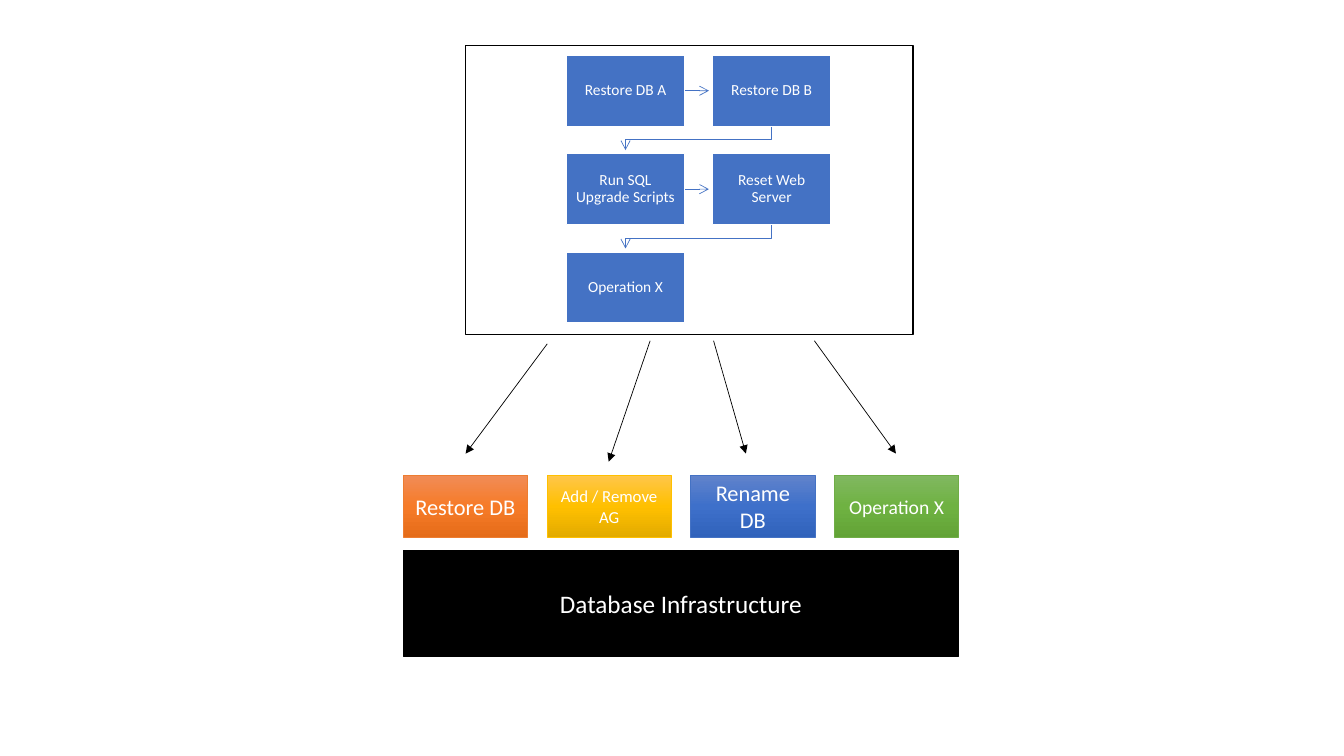
import copy

import pptx
import pptx.dml.color
import pptx.enum.shapes
import pptx.enum.text
import pptx.oxml
import pptx.oxml.ns
import pptx.util

Pt = pptx.util.Pt
RGBColor = pptx.dml.color.RGBColor
ALIGN = pptx.enum.text.PP_ALIGN
ANCHOR = pptx.enum.text.MSO_ANCHOR
RECTANGLE = pptx.enum.shapes.MSO_SHAPE.RECTANGLE
STRAIGHT = pptx.enum.shapes.MSO_CONNECTOR.STRAIGHT
A_NS = pptx.oxml.ns.nsdecls("a")

BLACK = RGBColor(0x00, 0x00, 0x00)
WHITE = RGBColor(0xFF, 0xFF, 0xFF)
BLUE = RGBColor(0x44, 0x72, 0xC4)
ORANGE = RGBColor(0xED, 0x7D, 0x31)
GOLD = RGBColor(0xFF, 0xC0, 0x00)
GREEN = RGBColor(0x70, 0xAD, 0x47)
ORANGE_SHADES = RGBColor(0xF1, 0x8C, 0x57), RGBColor(0xF6, 0x7B, 0x28), RGBColor(0xE5, 0x6C, 0x19)
GOLD_SHADES = RGBColor(0xFF, 0xC6, 0x4B), RGBColor(0xFF, 0xC0, 0x00), RGBColor(0xE3, 0xAB, 0x00)
BLUE_SHADES = RGBColor(0x61, 0x83, 0xCB), RGBColor(0x3E, 0x70, 0xCA), RGBColor(0x30, 0x62, 0xBB)
GREEN_SHADES = RGBColor(0x81, 0xB8, 0x61), RGBColor(0x6F, 0xB2, 0x42), RGBColor(0x62, 0xA3, 0x36)

FRAME_FORMAT = {"vertical_anchor": ANCHOR.MIDDLE, "word_wrap": True}
STEP_INSETS = {f"margin_{side}": Pt(6.5) for side in ("left", "right", "top", "bottom")}
STEPS = ["Restore DB A", "Restore DB B", "Run SQL Upgrade Scripts",
         "Reset Web Server", "Operation X"]
OPERATIONS = [
    ("Restore DB", 16, ORANGE, ORANGE_SHADES),
    ("Add / Remove AG", 12, GOLD, GOLD_SHADES),
    ("Rename DB", 16, BLUE, BLUE_SHADES),
    ("Operation X", 14, GREEN, GREEN_SHADES),
]
# Start and end of each arrow, relative to the fan's box
FAN = [((58.3, 2.2), (0, 80.6)), ((131.8, 0), (102.2, 86.4)),
       ((177.1, 0), (200.2, 80.6)), ((249.1, 0), (307.4, 80.6))]


def apply(target, values):
    """Set every attribute in values on target."""
    for attribute, value in values.items():
        setattr(target, attribute, value)


def fill_gradient(shape, shades):
    """Fill a shape with shades running evenly from top to bottom."""
    shape.fill.gradient()
    shape.fill.gradient_angle = 270
    stops = shape.fill._fill._gradFill.gsLst
    stops.insert(1, copy.deepcopy(stops[0]))
    for index, (stop, shade) in enumerate(zip(shape.fill.gradient_stops, shades)):
        stop.position = index / (len(shades) - 1)
        stop.color.rgb = shade


def draw_box(slide, box, line, weight, fill=None, text="", size=11, frame_format=None):
    """Draw a rectangle with centred white text; fill is a colour, shades or None."""
    shape = slide.shapes.add_shape(RECTANGLE, *map(Pt, box))
    shape.shadow.inherit = False
    shape.line.color.rgb = line
    shape.line.width = Pt(weight)
    if fill is None:
        shape.fill.background()
    elif isinstance(fill, RGBColor):
        shape.fill.solid()
        shape.fill.fore_color.rgb = fill
    else:
        fill_gradient(shape, fill)
    if text:
        apply(shape.text_frame, FRAME_FORMAT | (frame_format or {}))
        paragraph = shape.text_frame.paragraphs[0]
        paragraph.alignment = ALIGN.CENTER
        run = paragraph.add_run()
        run.text = text
        apply(run.font, {"name": "Calibri", "size": Pt(size)})
        run.font.color.rgb = WHITE
    return shape


def finish_arrow(arrow, colour, head):
    """Give a line its colour, weight and arrowhead."""
    arrow.line.color.rgb = colour
    arrow.line.width = Pt(0.5)
    arrow.line._ln.append(pptx.oxml.parse_xml(f'<a:tailEnd {A_NS} type="{head}"/>'))


def draw_arrow(slide, start, end, colour, head):
    """Draw a straight arrow."""
    arrow = slide.shapes.add_connector(STRAIGHT, *map(Pt, (*start, *end)))
    finish_arrow(arrow, colour, head)
    arrow._element.spPr.append(pptx.oxml.parse_xml(f"<a:effectLst {A_NS}/>"))


def draw_elbow(slide, start, end):
    """Draw an arrow going down, across and down again."""
    (x1, y1), (x2, y2) = start, end
    turn = y1 + 9.7
    builder = slide.shapes.build_freeform(Pt(x1), Pt(y1))
    builder.add_line_segments([(Pt(x), Pt(y)) for x, y in [(x1, turn), (x2, turn), (x2, y2)]],
                              close=False)
    elbow = builder.convert_to_shape()
    elbow.fill.background()
    elbow.shadow.inherit = False
    finish_arrow(elbow, BLUE, "arrow")


def draw_workflow(slide, box):
    """Frame the steps, laid out in two columns and joined in reading order."""
    left, top, _, _ = box
    draw_box(slide, box, BLACK, 0.75)
    width, height, columns = 84.6, 50.8, 2
    for index, step in enumerate(STEPS):
        row, column = divmod(index, columns)
        x, y = left + 72 + column * 104.4, top + 7 + row * 70.3
        if index < len(STEPS) - 1:
            if column == 0:
                middle = y + height / 2
                draw_arrow(slide, (x + width, middle), (x + width + 17.3, middle), BLUE, "arrow")
            else:
                centre, bottom = x + width / 2, y + height
                draw_elbow(slide, (centre, bottom), (centre - 104.4, bottom + 17))
        shape = draw_box(slide, (x, y, width, height), WHITE, 1, BLUE, step,
                         frame_format=STEP_INSETS)
        shape.text_frame.paragraphs[0].line_spacing = 0.9


def draw_operations(slide, box):
    """Spread the operation tiles evenly over the box."""
    left, top, width, height = box
    tile_width = 88.9
    pitch = (width - tile_width) / (len(OPERATIONS) - 1)
    for index, (name, size, outline, shades) in enumerate(OPERATIONS):
        draw_box(slide, (left + index * pitch, top, tile_width, height),
                 outline, 0.5, shades, name, size)


def draw_fan(slide, box):
    """Draw the arrows from the workflow down to the operations."""
    left, top = box[:2]
    for (x1, y1), (x2, y2) in FAN:
        draw_arrow(slide, (left + x1, top + y1), (left + x2, top + y2), BLACK, "triangle")


def draw_infrastructure(slide, box):
    """Draw the base block."""
    draw_box(slide, box, BLACK, 1, BLACK, "Database Infrastructure", 18)


def main():
    """Build and save the slide."""
    deck = pptx.Presentation()
    apply(deck, {"slide_width": Pt(960), "slide_height": Pt(540)})
    slide = deck.slides.add_slide(deck.slide_layouts[6])
    draw_workflow(slide, (332.5, 32.4, 319.7, 206.6))
    draw_operations(slide, (288, 339.3, 396.9, 44.6))
    draw_fan(slide, (332.6, 243.4, 307.4, 86.4))
    draw_infrastructure(slide, (288, 393.3, 396.7, 75.6))
    deck.save("out.pptx")


main()
